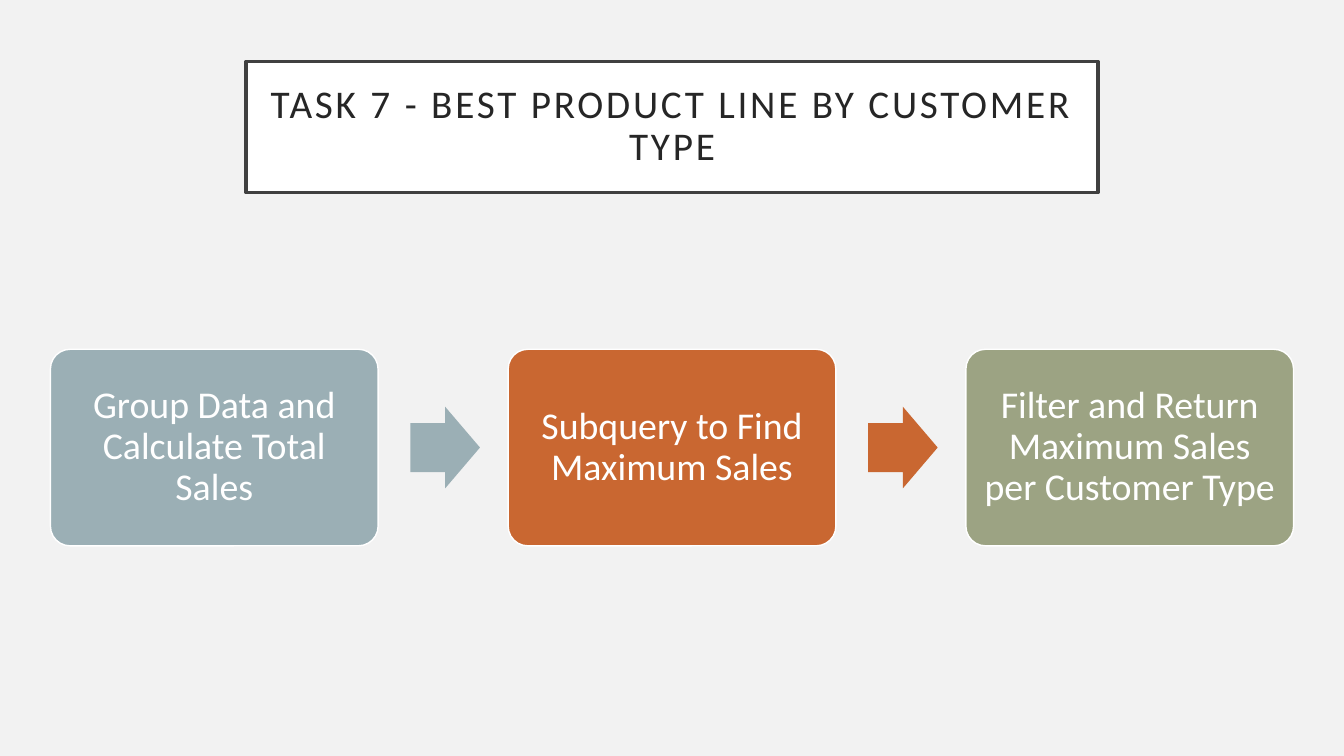
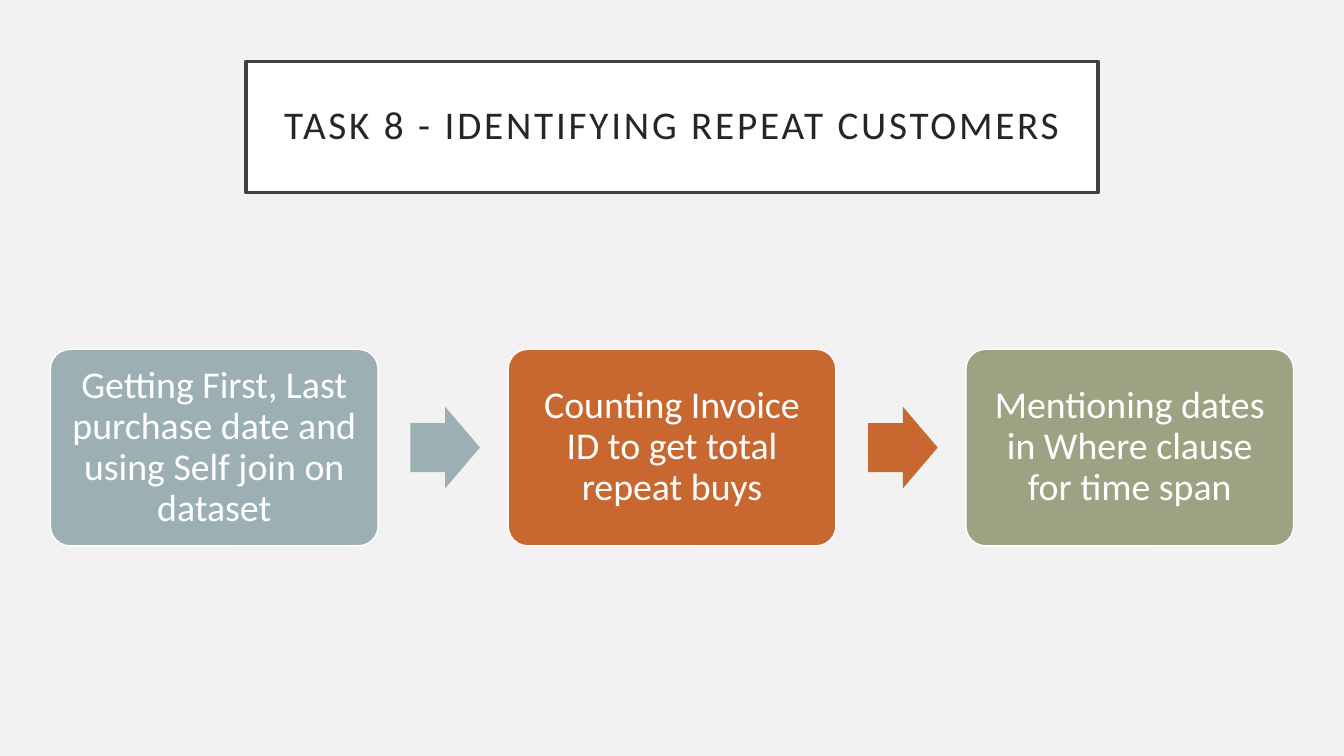
import pptx
import pptx.dml.color
import pptx.enum.shapes
import pptx.enum.text
import pptx.util

Inches = pptx.util.Inches
Shapes = pptx.enum.shapes.MSO_SHAPE

SLIDE_WIDTH, SLIDE_HEIGHT = 13.33, 7.5
MARGIN = 0.5
STEP_WIDTH, STEP_HEIGHT = 3.25, 1.95
ARROW_WIDTH, ARROW_HEIGHT = 0.69, 0.81
ARROW_GAP = 0.32
FLOW_MIDDLE = 4.44

STEP_COLOURS = ["9BAFB5", "C96731", "9CA383"]
TASKS = [
    ("TASK 7 - BEST PRODUCT LINE BY CUSTOMER TYPE",
     ["Group Data and Calculate Total Sales",
      "Subquery to Find Maximum Sales",
      "Filter and Return Maximum Sales per Customer Type"]),
    ("TASK 8 - IDENTIFYING REPEAT CUSTOMERS",
     ["Getting First, Last purchase date and using Self join on dataset",
      "Counting Invoice ID to get total repeat buys",
      "Mentioning dates in Where clause for time span"]),
]


def colour(value):
    return pptx.dml.color.RGBColor.from_string(value)


def write(box, text, size, ink, inset, tracking=0):
    """Centre text in a box; tracking is the letter spacing in points."""
    frame = box.text_frame
    frame.word_wrap = True
    frame.vertical_anchor = pptx.enum.text.MSO_ANCHOR.MIDDLE
    frame.margin_left = frame.margin_right = Inches(inset)
    frame.margin_top = frame.margin_bottom = Inches(inset)
    para = frame.paragraphs[0]
    para.alignment = pptx.enum.text.PP_ALIGN.CENTER
    para.line_spacing = 0.9
    span = para.add_run()
    span.text = text
    span.font.name = "Calibri"
    span.font.size = pptx.util.Pt(size)
    span.font.color.rgb = colour(ink)
    if tracking:
        span.font._element.set("spc", str(tracking * 100))


class TaskDeck:
    """Holds the presentation, its style and the current page."""

    background = "F2F2F2"
    white = "FFFFFF"
    title_ink = "262626"
    title_border = "404040"

    def __init__(self):
        self.deck = pptx.Presentation()
        self.deck.slide_width = Inches(SLIDE_WIDTH)
        self.deck.slide_height = Inches(SLIDE_HEIGHT)
        fill = self.deck.slide_master.background.fill
        fill.solid()
        fill.fore_color.rgb = colour(self.background)
        self.page = None

    def new_page(self):
        self.page = self.deck.slides.add_slide(self.deck.slide_layouts[6])

    def shape(self, kind, left, top, width, height, fill,
              line=None, line_width=1, adjustments=()):
        box = self.page.shapes.add_shape(
            kind, Inches(left), Inches(top), Inches(width), Inches(height))
        box.shadow.inherit = False
        for index, value in enumerate(adjustments):
            box.adjustments[index] = value
        box.fill.solid()
        box.fill.fore_color.rgb = colour(fill)
        if line:
            box.line.color.rgb = colour(line)
            box.line.width = pptx.util.Pt(line_width)
        else:
            box.line.fill.background()
        return box

    def title(self, text):
        box = self.shape(Shapes.RECTANGLE, 2.44, 0.61, 8.45, 1.3,
                         self.white, self.title_border, 2.5)
        write(box, text, size=28, ink=self.title_ink, inset=0.2, tracking=2)

    def step(self, left, text, fill):
        box = self.shape(Shapes.ROUNDED_RECTANGLE, left,
                         FLOW_MIDDLE - STEP_HEIGHT / 2, STEP_WIDTH, STEP_HEIGHT,
                         fill, self.white, adjustments=[0.1])
        write(box, text, size=27, ink=self.white, inset=0.11)

    def arrow(self, left, fill):
        self.shape(Shapes.RIGHT_ARROW, left, FLOW_MIDDLE - ARROW_HEIGHT / 2,
                   ARROW_WIDTH, ARROW_HEIGHT, fill, adjustments=[0.6, 0.5])

    def flow(self, steps):
        """Spread the steps between the margins, with an arrow after all but the last."""
        last = len(steps) - 1
        pitch = (SLIDE_WIDTH - 2 * MARGIN - STEP_WIDTH) / last
        for index, (text, fill) in enumerate(zip(steps, STEP_COLOURS)):
            left = MARGIN + index * pitch
            self.step(left, text, fill)
            if index < last:
                self.arrow(left + STEP_WIDTH + ARROW_GAP, fill)


def main():
    tasks = TaskDeck()
    for title, steps in TASKS:
        tasks.new_page()
        tasks.title(title)
        tasks.flow(steps)
    tasks.deck.save("out.pptx")


if __name__ == "__main__":
    main()
